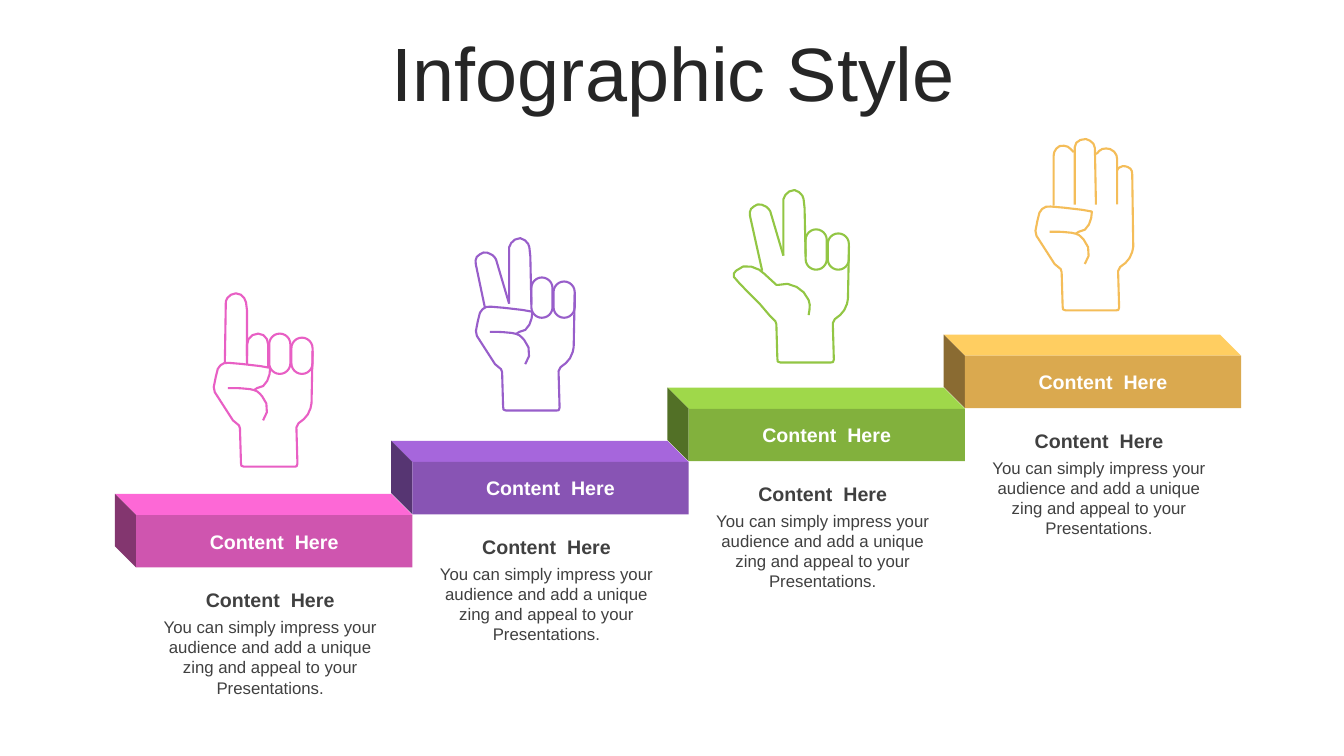
from math import dist

from pptx import Presentation
from pptx.dml.color import RGBColor
from pptx.enum.shapes import MSO_SHAPE
from pptx.enum.text import MSO_ANCHOR, MSO_AUTO_SIZE, PP_ALIGN
from pptx.util import Inches, Pt

WRIST = """26 145 26 157 27 168  27 171 27 172 30 172  46 172 63 172 80 172
 82 172 83 172 83 169  83 157 82 145 82 133  82 131 83 130 84 129
 90 125 94 121 96 114  96 112 97 110 97 109 """
EDGE = "97 92 98 75 98 57"
FIST = """40 96  41 95 42 94 43 94  45 94 47 93 49 92  54 88 56 80 56 74
 56 73 20 69 15 69  10 68 6 71 4 75  4 78 3 80 2 83  2 85 1 90 0 93
 0 95 0 96 1 98  5 103 15 119 19 126  20 127 23 130 25 131
 25 131 26 133 26 134 """ + WRIST
CREASE = """14 94  17 94 20 94 23 94  24 94 40 95 40 96  44 97 45 99 48 102
 54 108 55 119 49 126"""
PALM = """58 125  59 119 60 115 58 110  54 101 47 96 37 94  34 95 31 95 28 95
 27 96 27 95 26 95  23 92 16 86 14 84  11 81 10 80 9 80  2 76 -8 74 -14 81
 -16 84 -20 85 -11 93  -10 95 15 118 19 125  20 126 23 130 25 131
 25 131 26 132 26 134 """ + WRIST + EDGE
POINT = """33 62  33 62 33 19 33 17  33 16 32 9 32 9  31 5 28 0 22 0
 17 0 12 5 12 8  12 9 10 33 11 69"""
BENT = """33 70  33 70 33 51 33 51  33 45 38 40 44 40  50 40 54 45 54 51
 54 51 54 73 54 73"""
TALL = """55 67  55 67 54 20 54 19  54 17 54 11 53 10  53 7 49 2 44 1
 38 1 34 6 33 10  33 10 32 29 33 66"""
TILT = """33 66  33 66 20 22 20 22  19 20 16 17 15 17  12 15 7 14 4 17
 0 19 -1 23 0 27 """
LITTLE = """97 91 96 37 96 37  96 34 95 31 92 30  90 29 86 28 84 30
 83 30 82 31 81 33"""
FIRST = "38 15  37 14 36 13 35 12  33 9 28 8 24 9  20 11 18 15 18 19  18 39 18 48 18 68"
MIDDLE = """60 67  60 52 59 12 59 11  59 6 54 3 50 2  44 2 39 5 39 10
 39 10 39 51 39 67"""
RING = """60 17  62 16 62 15 63 14  66 11 70 11 74 12  79 14 81 18 81 22
 81 24 81 27 81 29  81 29 81 59 81 67"""

FOLDS = [(55, 40, 40), (77, 44, 36)]
STEPS = [
    ("E85FC4", 0.77, -2.2, [POINT, BENT, CREASE, FIST + EDGE], FOLDS),
    ("985ECA", 0.63, -2.23, [TALL, TILT + "4 47 8 68 9 70", CREASE, FIST + EDGE], FOLDS),
    ("92C644", 0.61, -2.18, [TALL, TILT + "4 47 11 79 12 81", PALM], FOLDS),
    ("F4BD59", 0.7, -2.17, [FIRST, MIDDLE, RING, CREASE, FIST + LITTLE], []),
]
HEAD = "Content  Here"
BODY = ("You can simply impress your audience and add a unique zing "
        "and appeal to your Presentations.")
WIDE, HIGH, DEEP = 2.74, 0.52, 0.21


def rgb(code, tone=1):
    """Turn a hex string into a colour, made lighter or darker by tone."""
    return RGBColor(*(min(255, round(part * tone)) for part in bytes.fromhex(code)))


def count(curve):
    """Choose how many straight pieces a curve needs."""
    chord = dist(curve[0], curve[3])
    bend = sum(dist(a, b) for a, b in zip(curve, curve[1:])) - chord
    if bend < 0.004 or chord < 0.04:
        return 1
    return 2 if chord < 0.07 else 3


def trace(text):
    """Turn a start point and cubic curves in hundredths into points in inches."""
    nums = [int(part) / 100 for part in text.split()]
    dots = list(zip(nums[::2], nums[1::2]))
    line = dots[:1]
    for i in range(1, len(dots), 3):
        curve = dots[i - 1:i + 3]
        size = count(curve)
        for t in (n / size for n in range(1, size + 1)):
            mix = ((1 - t) ** 3, 3 * t * (1 - t) ** 2, 3 * t * t * (1 - t), t ** 3)
            line.append(tuple(sum(m * dot[k] for m, dot in zip(mix, curve))
                              for k in (0, 1)))
    return line


def draw(slide, left, top, dots, close):
    """Draw a line of points in inches from the given corner."""
    dots = [(Inches(x), Inches(y)) for x, y in dots]
    form = slide.shapes.build_freeform(*dots[0])
    form.add_line_segments(dots[1:], close=close)
    return form.convert_to_shape(Inches(left), Inches(top))


def ink(shape, code):
    """Give a shape an outline only."""
    shape.shadow.inherit = False
    shape.fill.background()
    shape.line.color.rgb = rgb(code)
    shape.line.width = Pt(1.5)


def paint(shape, code, tone):
    """Give a shape a flat fill only."""
    shape.shadow.inherit = False
    shape.fill.solid()
    shape.fill.fore_color.rgb = rgb(code, tone)
    shape.line.fill.background()


def write(frame, text, size, code, bold=False):
    """Write one centred run into a text frame."""
    frame.word_wrap = True
    para = frame.paragraphs[0]
    para.alignment = PP_ALIGN.CENTER
    run = para.add_run()
    run.text = text
    font = run.font
    font.name, font.size, font.bold = "Arial", Pt(size), bold
    font.color.rgb = rgb(code)


def label(slide, box, text, size, code, bold, pad):
    """Add a text box with the given left inset."""
    frame = slide.shapes.add_textbox(*map(Inches, box)).text_frame
    frame.margin_left = Inches(pad)
    frame.vertical_anchor = MSO_ANCHOR.MIDDLE if bold else MSO_ANCHOR.TOP
    write(frame, text, size, code, bold)


def hand(slide, left, top, code, lines, folds):
    """Draw a counting hand from its strokes and folded fingers."""
    for line in lines:
        ink(draw(slide, left, top, trace(line), False), code)
    for x, y, high in folds:
        fold = slide.shapes.add_shape(
            MSO_SHAPE.ROUNDED_RECTANGLE, Inches(left + x / 100),
            Inches(top + y / 100), Inches(0.21), Inches(high / 100))
        fold.adjustments[0] = 0.5
        ink(fold, code)


def block(slide, left, top, code):
    """Draw a solid bar with a lit top, a dark side and a label."""
    lid = [(-DEEP, -DEEP), (WIDE - DEEP, -DEEP), (WIDE, 0), (0, 0)]
    side = [(-DEEP, -DEEP), (0, 0), (0, HIGH), (-DEEP, HIGH - DEEP)]
    for dots, tone in ((lid, 1.09), (side, 0.565)):
        paint(draw(slide, left, top, dots, True), code, tone)
    front = slide.shapes.add_shape(
        MSO_SHAPE.RECTANGLE, *map(Inches, (left, top, WIDE, HIGH)))
    paint(front, code, 0.893)
    label(slide, (left + 0.63, top + 0.09, 1.48, 0.34), HEAD, 14, "FFFFFF", True, 0.1)


def note(slide, left, top):
    """Write the heading and text below a bar."""
    label(slide, (left, top, 2.4, 0.34), HEAD, 14, "404040", True, 0)
    label(slide, (left, top + 0.29, 2.4, 0.91), BODY, 12, "404040", False, 0)


def title(slide, left, top, wide, high):
    """Place and write the slide title."""
    head = slide.shapes.title
    head.left, head.top, head.width, head.height = map(Inches, (left, top, wide, high))
    frame = head.text_frame
    frame.auto_size = MSO_AUTO_SIZE.NONE
    frame.vertical_anchor = MSO_ANCHOR.MIDDLE
    write(frame, "Infographic Style", 54, "262626")
    frame.paragraphs[0].line_spacing = 0.9


def main():
    """Build the slide and save it."""
    deck = Presentation()
    deck.slide_width, deck.slide_height = Inches(13.33), Inches(7.5)
    slide = deck.slides.add_slide(deck.slide_layouts[5])
    title(slide, 0.35, 0.37, 12.66, 0.79)
    for i, (code, x, y, lines, folds) in enumerate(STEPS):
        left, top = 1.35 + WIDE * i, 5.11 - 0.527 * i
        hand(slide, left + x, top + y, code, lines, folds)
        block(slide, left, top, code)
        note(slide, left + 0.18, top + 0.67)
    deck.save("out.pptx")


if __name__ == "__main__":
    main()
